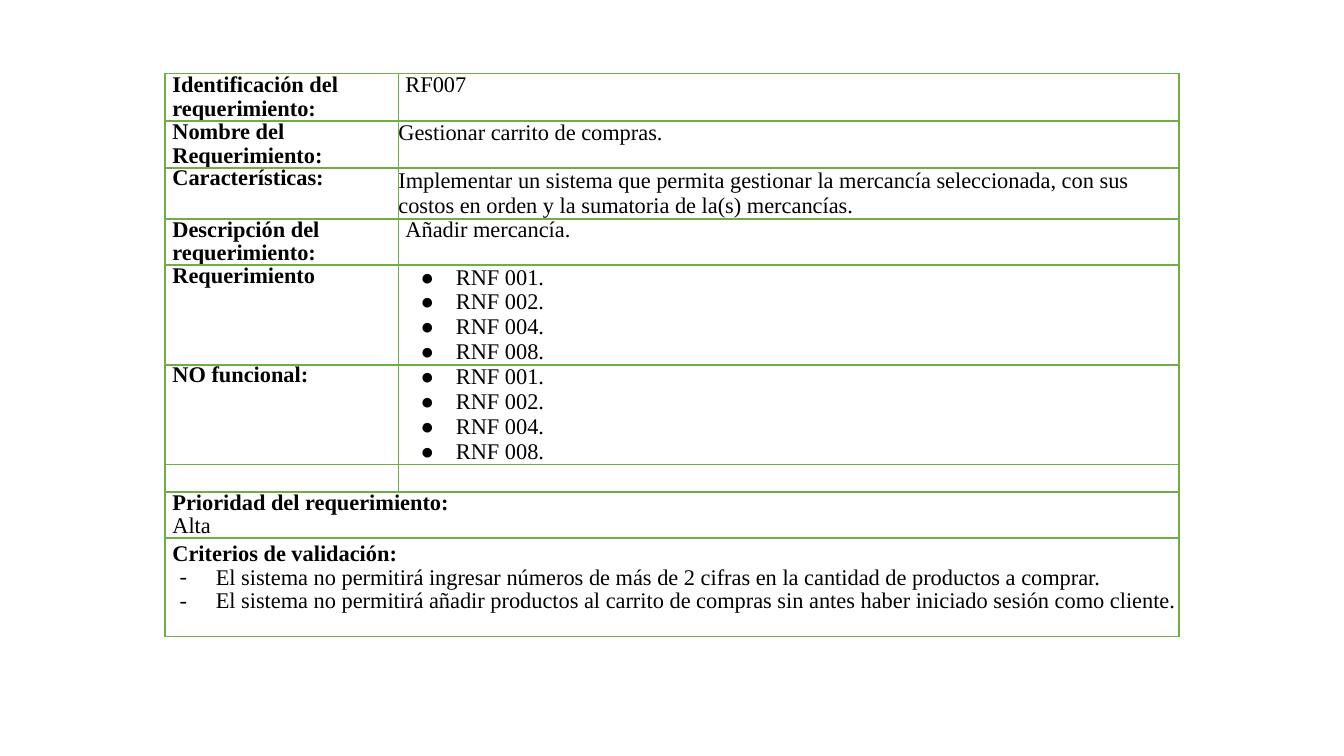
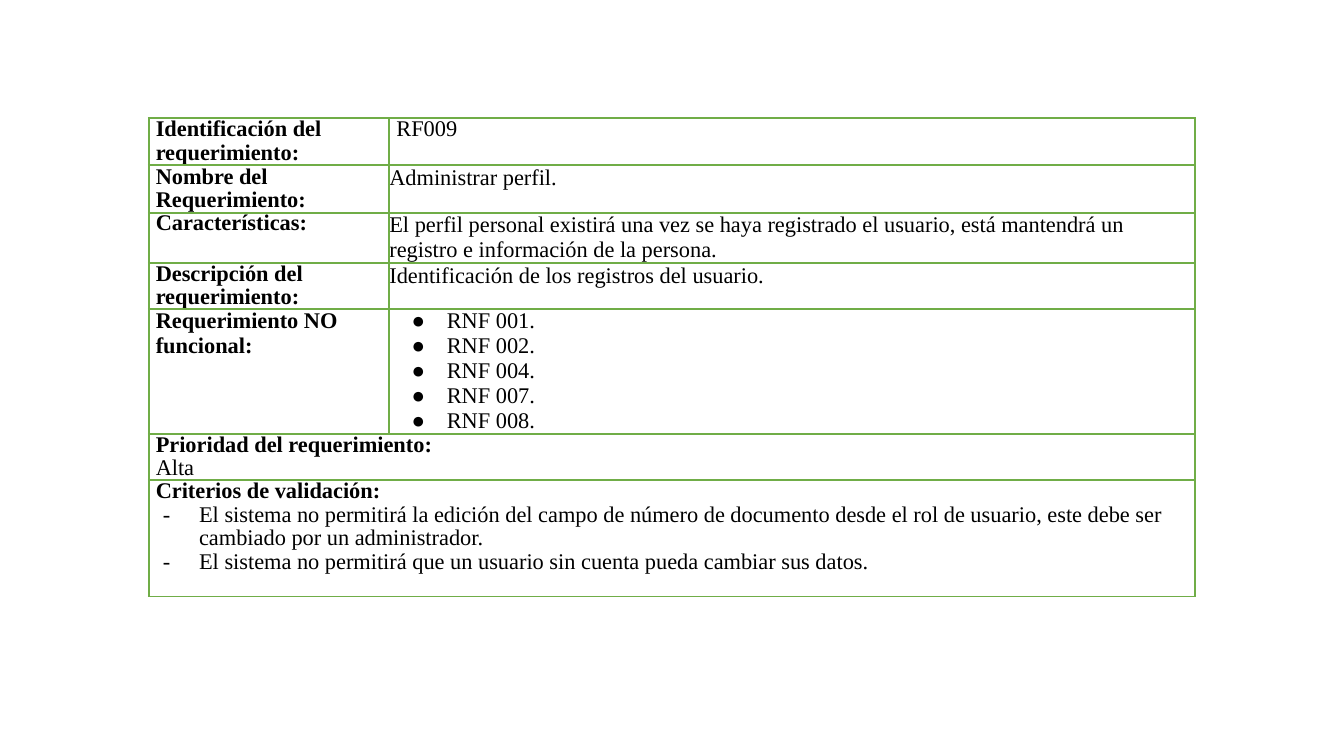
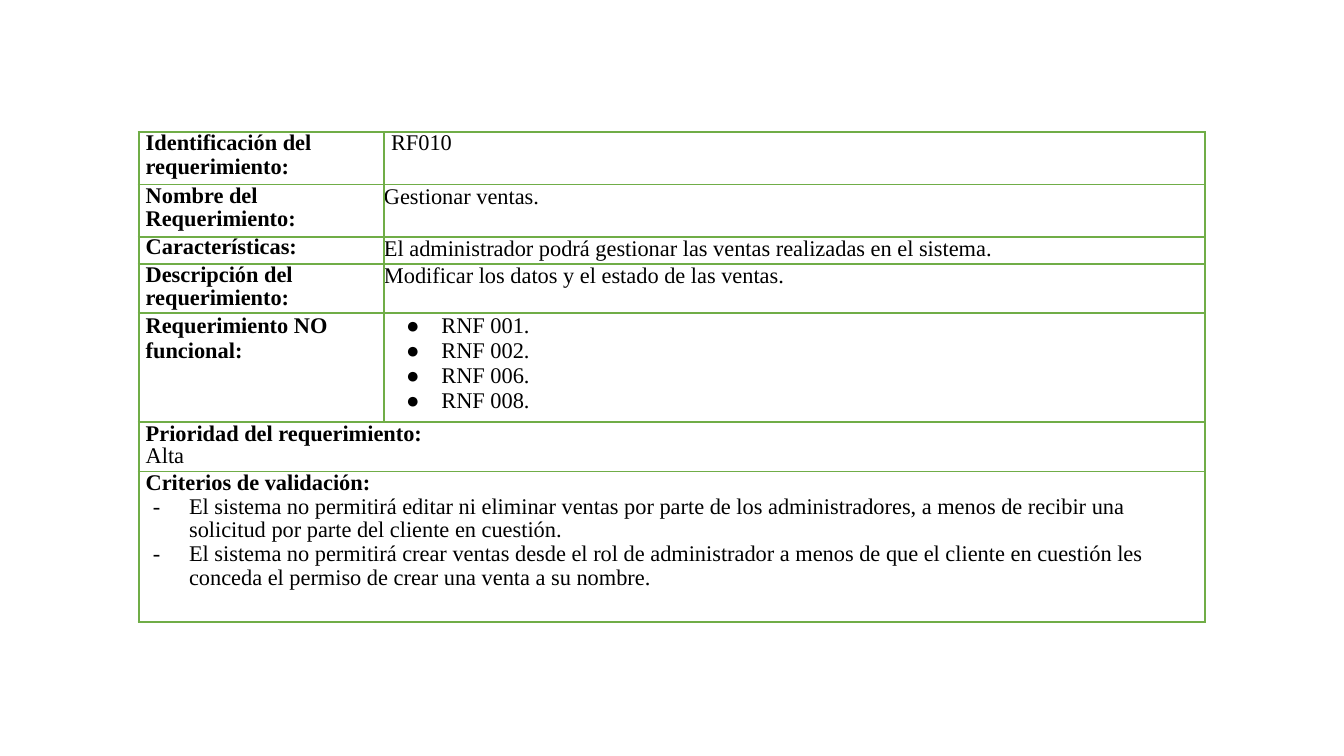
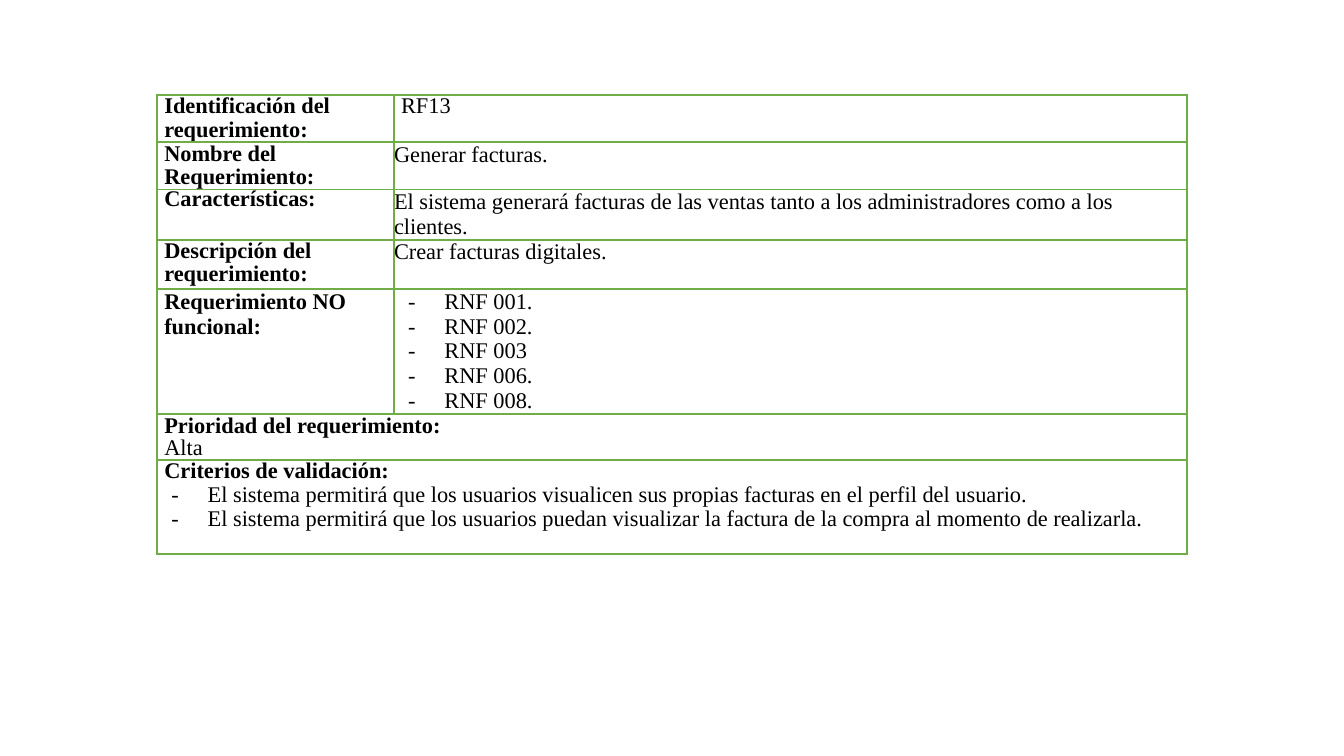
from dataclasses import dataclass, field

import pptx
import pptx.dml.color
import pptx.oxml.ns
import pptx.util
from lxml import etree


@dataclass(frozen=True)
class Theme:
    """Colours, type and measures shared by every requirement sheet."""
    font: str = "Times New Roman"
    size: int = 16
    ink: str = "000000"
    border: str = "70AD47"
    border_width: float = 1.5
    slide_width: float = 13.33
    slide_height: float = 7.5
    label_share: float = 0.23
    inset: float = 0.07
    tight: float = 0.95


THEME = Theme()


@dataclass
class Line:
    """One paragraph of a cell."""
    text: str
    bold: bool = False
    left: float = 0
    hang: float = 0
    spacing: float = 1.0
    bullet: str = ""


@dataclass
class Sheet:
    """One requirement and the place of its table."""
    top: float
    width: float
    heights: list
    code: str
    name: str
    features: str
    description: Line
    needs: list
    criteria: list
    criteria_spacing: float = THEME.tight
    spare_rows: list = field(default_factory=list)


def label(text, spacing=THEME.tight):
    """Return a bold, slightly indented line."""
    return Line(text, bold=True, left=THEME.inset, spacing=spacing)


def inset(text, spacing=THEME.tight):
    """Return a regular, slightly indented line."""
    return Line(text, left=THEME.inset, spacing=spacing)


def dots(*codes):
    """Return non-functional requirements as a dotted list."""
    return [Line(f"RNF {c}", left=0.57, hang=0.35, bullet="●") for c in codes]


def dashes(*texts, spacing=1.0):
    """Return a dashed list."""
    return [Line(t, left=0.5, hang=0.36, spacing=spacing, bullet="-") for t in texts]


def add_child(parent, tag, **attrs):
    """Append a DrawingML element."""
    return etree.SubElement(parent, pptx.oxml.ns.qn(f"a:{tag}"), attrs)


def add_bullet(p, char):
    """Give a paragraph its bullet character."""
    pPr = p._p.get_or_add_pPr()
    add_child(add_child(pPr, "buClr"), "srgbClr", val=THEME.ink)
    add_child(pPr, "buFont", typeface=THEME.font)
    add_child(pPr, "buChar", char=char)


def write_line(p, line):
    """Format a paragraph and add its run."""
    pPr = p._p.get_or_add_pPr()
    pPr.set("marL", str(pptx.util.Inches(line.left)))
    pPr.set("indent", str(-pptx.util.Inches(line.hang)))
    p.line_spacing = line.spacing
    if line.bullet:
        add_bullet(p, line.bullet)
    r = p.add_run()
    r.text = line.text
    r.font.name = THEME.font
    r.font.size = pptx.util.Pt(THEME.size)
    r.font.bold = line.bold
    r.font.color.rgb = pptx.dml.color.RGBColor.from_string(THEME.ink)


def write_cell(cell, lines):
    """Fill a cell with lines, keeping an empty one at the text size."""
    tf = cell.text_frame
    if not lines:
        add_child(tf.paragraphs[0]._p, "endParaRPr", sz=str(THEME.size * 100))
    for i, line in enumerate(lines):
        write_line(tf.add_paragraph() if i else tf.paragraphs[0], line)


def style_cell(cell):
    """Remove margins and fill, and draw the four borders."""
    cell.margin_left = cell.margin_right = cell.margin_top = cell.margin_bottom = 0
    tcPr = cell._tc.get_or_add_tcPr()
    for side in ("lnL", "lnR", "lnT", "lnB"):
        ln = add_child(tcPr, side, w=str(pptx.util.Pt(THEME.border_width)))
        add_child(add_child(ln, "solidFill"), "srgbClr", val=THEME.border)
    cell.fill.background()


def sheet_rows(sheet):
    """Return the rows of a sheet; a row with one cell spans both columns."""
    return [
        [[label("Identificación del requerimiento:")], [inset(sheet.code)]],
        [[label("Nombre del Requerimiento:")], [Line(sheet.name)]],
        [[label("Características:", 0.88)], [Line(sheet.features)]],
        [[label("Descripción del"), label("requerimiento:", 0.89)], [sheet.description]],
        *sheet.needs,
        *sheet.spare_rows,
        [[label("Prioridad del requerimiento:"), inset("Alta", 0.89)]],
        [[label("Criterios de validación:", sheet.criteria_spacing),
          *dashes(*sheet.criteria, spacing=THEME.tight)]],
    ]


def add_sheet(prs, sheet):
    """Add a slide with the centred table of one requirement."""
    slide = prs.slides.add_slide(prs.slide_layouts[6])
    rows = sheet_rows(sheet)
    inches = pptx.util.Inches
    frame = slide.shapes.add_table(
        len(rows), 2, inches((THEME.slide_width - sheet.width) / 2),
        inches(sheet.top), inches(sheet.width), inches(sum(sheet.heights)))
    table = frame.table
    table.first_row = table.horz_banding = False
    for column, share in zip(table.columns, (THEME.label_share, 1 - THEME.label_share)):
        column.width = inches(sheet.width * share)
    for i, (row, height) in enumerate(zip(rows, sheet.heights)):
        table.rows[i].height = inches(height)
        for cell in table.rows[i].cells:
            style_cell(cell)
        if len(row) == 1:
            table.cell(i, 0).merge(table.cell(i, 1))
        for j, lines in enumerate(row):
            write_cell(table.cell(i, j), lines)


def non_functional(items):
    """Return the single row of non-functional requirements."""
    return [[[label("Requerimiento NO funcional:", 1.0)], items]]


CART_NEEDS = dots("001.", "002.", "004.", "008.")

SHEETS = [
    Sheet(
        top=0.73, width=10.05,
        heights=[0.47, 0.47, 0.5, 0.46, 0.99, 0.99, 0.27, 0.45, 0.98],
        code="RF007",
        name="Gestionar carrito de compras.",
        features="Implementar un sistema que permita gestionar la mercancía seleccionada, "
                 "con sus costos en orden y la sumatoria de la(s) mercancías.",
        description=inset("Añadir mercancía."),
        needs=[[[label("Requerimiento", 0.93)], CART_NEEDS],
               [[label("NO funcional:", 0.89)], CART_NEEDS]],
        spare_rows=[[[], []]],
        criteria=["El sistema no permitirá ingresar números de más de 2 cifras en la "
                  "cantidad de productos a comprar.",
                  "El sistema no permitirá añadir productos al carrito de compras sin "
                  "antes haber iniciado sesión como cliente."],
        criteria_spacing=1.14,
    ),
    Sheet(
        top=1.17, width=10.38,
        heights=[0.47, 0.47, 0.5, 0.45, 1.24, 0.45, 1.16],
        code="RF009",
        name="Administrar perfil.",
        features="El perfil personal existirá una vez se haya registrado el usuario, "
                 "está mantendrá un registro e información de la persona.",
        description=Line("Identificación de los registros del usuario."),
        needs=non_functional(dots("001.", "002.", "004.", "007.", "008.")),
        criteria=["El sistema no permitirá la edición del campo de número de documento "
                  "desde el rol de usuario, este debe ser cambiado por un administrador.",
                  "El sistema no permitirá que un usuario sin cuenta pueda cambiar sus "
                  "datos."],
    ),
    Sheet(
        top=1.31, width=10.58,
        heights=[0.52, 0.52, 0.27, 0.49, 1.08, 0.49, 1.49],
        code="RF010",
        name="Gestionar ventas.",
        features="El administrador podrá gestionar las ventas realizadas en el sistema.",
        description=Line("Modificar los datos y el estado de las ventas."),
        needs=non_functional(dots("001.", "002.", "006.", "008.")),
        criteria=["El sistema no permitirá editar ni eliminar ventas por parte de los "
                  "administradores, a menos de recibir una solicitud por parte del "
                  "cliente en cuestión.",
                  "El sistema no permitirá crear ventas desde el rol de administrador a "
                  "menos de que el cliente en cuestión les conceda el permiso de crear "
                  "una venta a su nombre."],
    ),
    Sheet(
        top=0.94, width=10.21,
        heights=[0.47, 0.47, 0.5, 0.49, 1.24, 0.45, 0.93],
        code="RF13",
        name="Generar facturas.",
        features="El sistema generará facturas de las ventas tanto a los administradores "
                 "como a los clientes.",
        description=Line("Crear facturas digitales."),
        needs=non_functional(dashes("RNF 001.", "RNF 002.", "RNF 003", "RNF 006.",
                                    "RNF 008.")),
        criteria=["El sistema permitirá que los usuarios visualicen sus propias facturas "
                  "en el perfil del usuario.",
                  "El sistema permitirá que los usuarios puedan visualizar la factura de "
                  "la compra al momento de realizarla."],
    ),
]


def main():
    """Build the requirement sheets and save them."""
    prs = pptx.Presentation()
    prs.slide_width = pptx.util.Inches(THEME.slide_width)
    prs.slide_height = pptx.util.Inches(THEME.slide_height)
    for sheet in SHEETS:
        add_sheet(prs, sheet)
    prs.save("out.pptx")


if __name__ == "__main__":
    main()
